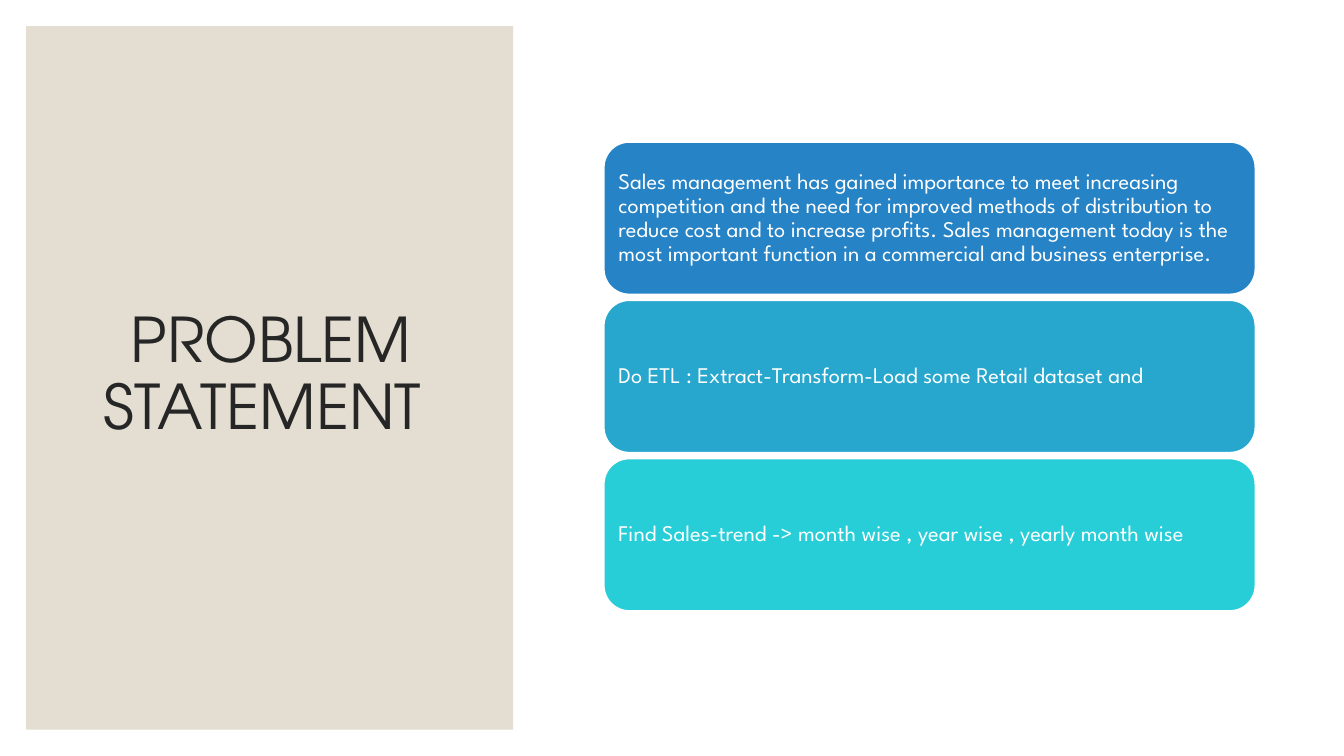
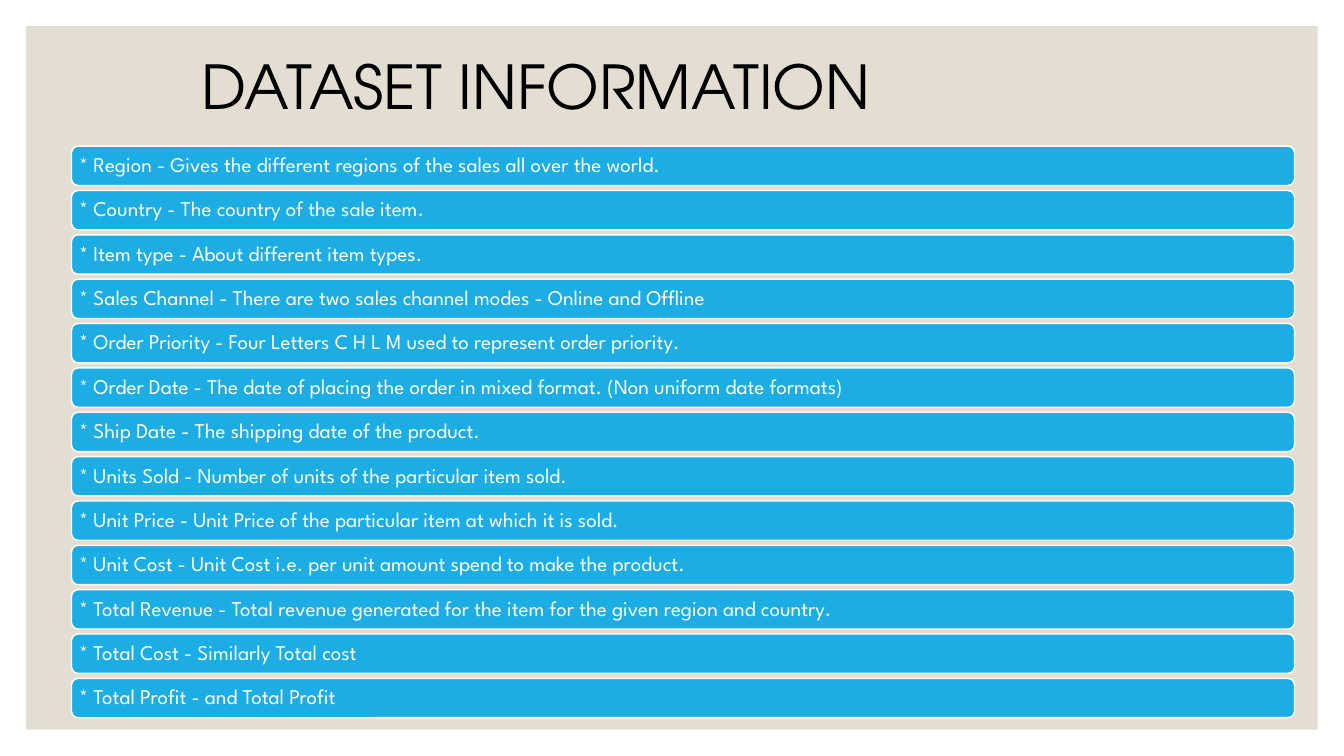
from pptx import Presentation
from pptx.dml.color import RGBColor
from pptx.enum.shapes import MSO_SHAPE as Shape
from pptx.enum.text import MSO_ANCHOR as Anchor, MSO_AUTO_SIZE as AutoSize, PP_ALIGN as Align
from pptx.util import Inches, Pt

# Shared style
WIDTH, HEIGHT, MARGIN = 13.33, 7.5, 0.26
TITLE_FONT, BODY_FONT = "TeX Gyre Adventor", "League Spartan"
WHITE, SAND, SKY = "FFFFFF", "E3DED1", "1CADE4"

# Content: each slide has a title and a stack of cards
PROBLEM = [
    ("Sales management has gained importance to meet increasing competition and the need "
     "for improved methods of distribution to reduce cost and to increase profits. Sales "
     "management today is the most important function in a commercial and business "
     "enterprise.", "2683C6"),
    ("Do ETL : Extract-Transform-Load some Retail dataset and", "27A7CE"),
    ("Find Sales-trend -> month wise , year wise , yearly month wise", "27CED7"),
]
FIELDS = [
    ("Region", "Gives the different regions of the sales all over the world."),
    ("Country", "The country of the sale item."),
    ("Item type", "About different item types."),
    ("Sales Channel", "There are two sales channel modes - Online and Offline"),
    ("Order Priority", "Four Letters C H L M used to represent order priority."),
    ("Order Date", "The date of placing the order in mixed format. (Non uniform date formats)"),
    ("Ship Date", "The shipping date of the product."),
    ("Units Sold", "Number of units of the particular item sold."),
    ("Unit Price", "Unit Price of the particular item at which it is sold."),
    ("Unit Cost", "Unit Cost i.e. per unit amount spend to make the product."),
    ("Total Revenue", "Total revenue generated for the item for the given region and country."),
    ("Total Cost", "Similarly Total cost"),
    ("Total Profit", "and Total Profit"),
]
SLIDES = [
    dict(title="PROBLEM STATEMENT ", title_box=(0.63, 0.61, 4.12, 6.24), size=44,
         color="262626", align=Align.CENTER, panel_width=4.83, cards=PROBLEM,
         stack=dict(box=(5.99, 1.41, 6.46, 1.51), gap=0.06, inset=0.07, size=16)),
    dict(title="DATASET INFORMATION", title_box=(1.9, 0.54, 9.74, 0.71), size=43.2,
         color="000000", align=Align.LEFT, panel_width=WIDTH - 2 * MARGIN,
         cards=[(f"* {name} - {meaning}", SKY) for name, meaning in FIELDS],
         stack=dict(box=(0.71, 1.45, 12.13, 0.39), gap=0.05, inset=0.06, size=15)),
]


def rgb(value):
    return RGBColor.from_string(value)


def write(sp, text, font, size, color, align, inset=None):
    tf = sp.text_frame
    tf.text = text
    tf.word_wrap, tf.auto_size = True, AutoSize.NONE
    tf.vertical_anchor = Anchor.MIDDLE
    if inset is not None:
        tf.margin_left = tf.margin_right = tf.margin_top = tf.margin_bottom = Inches(inset)
    p = tf.paragraphs[0]
    p.alignment, p.line_spacing = align, 0.9
    f = p.runs[0].font
    f.name, f.size, f.color.rgb = font, Pt(size), rgb(color)


def add_block(s, kind, box, fill, line=None):
    sp = s.shapes.add_shape(kind, *map(Inches, box))
    sp.shadow.inherit = False
    sp.fill.solid()
    sp.fill.fore_color.rgb = rgb(fill)
    if line:
        sp.line.color.rgb, sp.line.width = rgb(line), Pt(1)
    else:
        sp.line.fill.background()
    return sp


def add_cards(s, cards, box, gap, inset, size):
    left, top, width, height = box
    for i, (text, fill) in enumerate(cards):
        place = (left, top + i * (height + gap), width, height)
        card = add_block(s, Shape.ROUNDED_RECTANGLE, place, fill, WHITE)
        write(card, text, BODY_FONT, size, WHITE, Align.LEFT, inset)


def add_slide(prs, title, title_box, size, color, align, panel_width, cards, stack):
    s = prs.slides.add_slide(prs.slide_layouts[5])
    heading = s.shapes.title
    heading.left, heading.top, heading.width, heading.height = map(Inches, title_box)
    write(heading, title, TITLE_FONT, size, color, align)
    # Sand panel goes behind the title
    panel_box = (MARGIN, MARGIN, panel_width, HEIGHT - 2 * MARGIN)
    panel = add_block(s, Shape.RECTANGLE, panel_box, SAND)
    heading.element.addprevious(panel.element)
    add_cards(s, cards, **stack)


def main():
    prs = Presentation()
    prs.slide_width, prs.slide_height = Inches(WIDTH), Inches(HEIGHT)
    for content in SLIDES:
        add_slide(prs, **content)
    prs.save("out.pptx")


if __name__ == "__main__":
    main()
